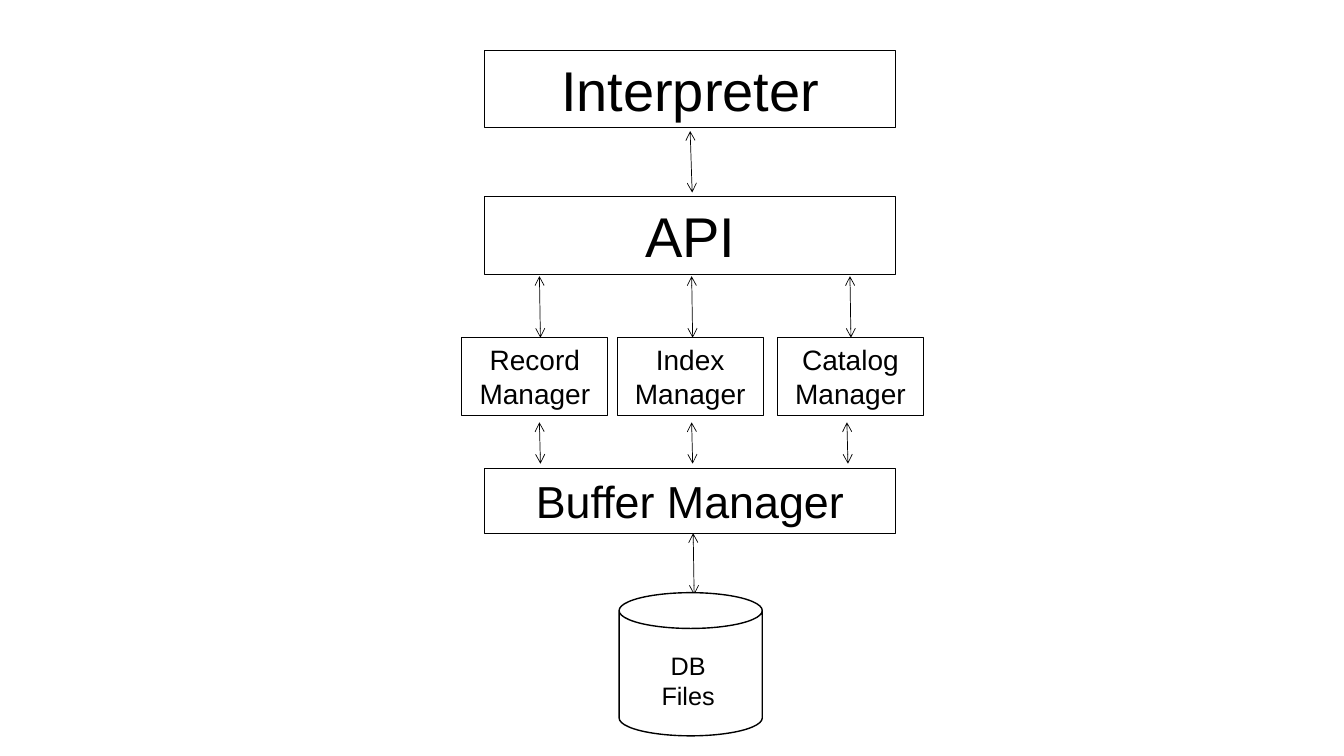
from dataclasses import dataclass
from lxml.etree import SubElement
from pptx import Presentation
from pptx.dml.color import RGBColor as Rgb
from pptx.enum.shapes import MSO_CONNECTOR as Conn, MSO_SHAPE as Kind
from pptx.enum.text import MSO_ANCHOR as Anchor, PP_ALIGN as Align
from pptx.oxml.ns import qn
from pptx.util import Inches, Pt


@dataclass(frozen=True)
class Theme:
    font: str = "Arial"
    ink: Rgb = Rgb(0, 0, 0)
    paper: Rgb = Rgb(255, 255, 255)
    large: int = 40
    medium: int = 32
    small: int = 20
    label: int = 18
    edge: float = 0.75
    rim: float = 1
    thin: float = 0.5


THEME = Theme()


def write(shape, lines, size, anchor):
    frame = shape.text_frame
    frame.word_wrap = True
    frame.vertical_anchor = anchor
    for i, line in enumerate(lines):
        para = frame.add_paragraph() if i else frame.paragraphs[0]
        para.alignment = Align.CENTER
        run = para.add_run()
        run.text = line
        run.font.name = THEME.font
        run.font.size = Pt(size)
        run.font.color.rgb = THEME.ink


def outline(slide, kind, box, width):
    shape = slide.shapes.add_shape(kind, *map(Inches, box))
    shape.shadow.inherit = False
    shape.line.color.rgb = THEME.ink
    shape.line.width = Pt(width)
    return shape


def module(slide, box, name, size):
    shape = outline(slide, Kind.RECTANGLE, box, THEME.edge)
    shape.fill.background()
    write(shape, [name], size, Anchor.TOP)


def arrow(slide, x, top, end, lean=0.01):
    points = map(Inches, (x, top, x + lean, end))
    link = slide.shapes.add_connector(Conn.STRAIGHT, *points)
    link.line.color.rgb = THEME.ink
    link.line.width = Pt(THEME.thin)
    props = link.line._get_or_add_ln()
    for end_tag in ("a:headEnd", "a:tailEnd"):
        SubElement(props, qn(end_tag), type="arrow")
    SubElement(link._element.spPr, qn("a:effectLst"))


def layers(slide, left, width):
    """Full-width modules above and below the managers."""
    for name, top, height, size in (
        ("Interpreter", 0.5, 0.77, THEME.large),
        ("API", 1.95, 0.77, THEME.large),
        ("Buffer Manager", 4.65, 0.64, THEME.medium),
    ):
        module(slide, (left, top, width, height), name, size)
    mid = left + width / 2
    arrow(slide, mid, 1.3, 1.91, 0.02)
    arrow(slide, mid + 0.03, 5.29, 5.9)


def managers(slide, left, top, width, height):
    """Row of managers, each linked to the API and the buffer."""
    for name, shift, upper, lower in (
        ("Record", 0, 0.77, 0.77),
        ("Index", 1.54, 0.74, 0.74),
        ("Catalog", 3.13, 0.72, 0.69),
    ):
        x = left + shift
        module(slide, (x, top, width, height), f"{name} Manager", THEME.small)
        arrow(slide, x + upper, top - 0.61, top)
        arrow(slide, x + lower, top + 0.84, top + 1.25)


def store(slide, left, top, side):
    """Database cylinder with its label."""
    can = outline(slide, Kind.CAN, (left, top, side, side), THEME.rim)
    can.fill.solid()
    can.fill.fore_color.rgb = THEME.paper
    box = (left + 0.14, top + 0.52, 1.09, 0.71)
    label = slide.shapes.add_textbox(*map(Inches, box))
    write(label, ["DB", "Files"], THEME.label, Anchor.TOP)


deck = Presentation()
deck.slide_width, deck.slide_height = Inches(13.33), Inches(7.5)
page = deck.slides.add_slide(deck.slide_layouts[6])
layers(page, 4.81, 4.07)
managers(page, 4.58, 3.35, 1.45, 0.77)
store(page, 6.14, 5.88, 1.42)
deck.save("out.pptx")
